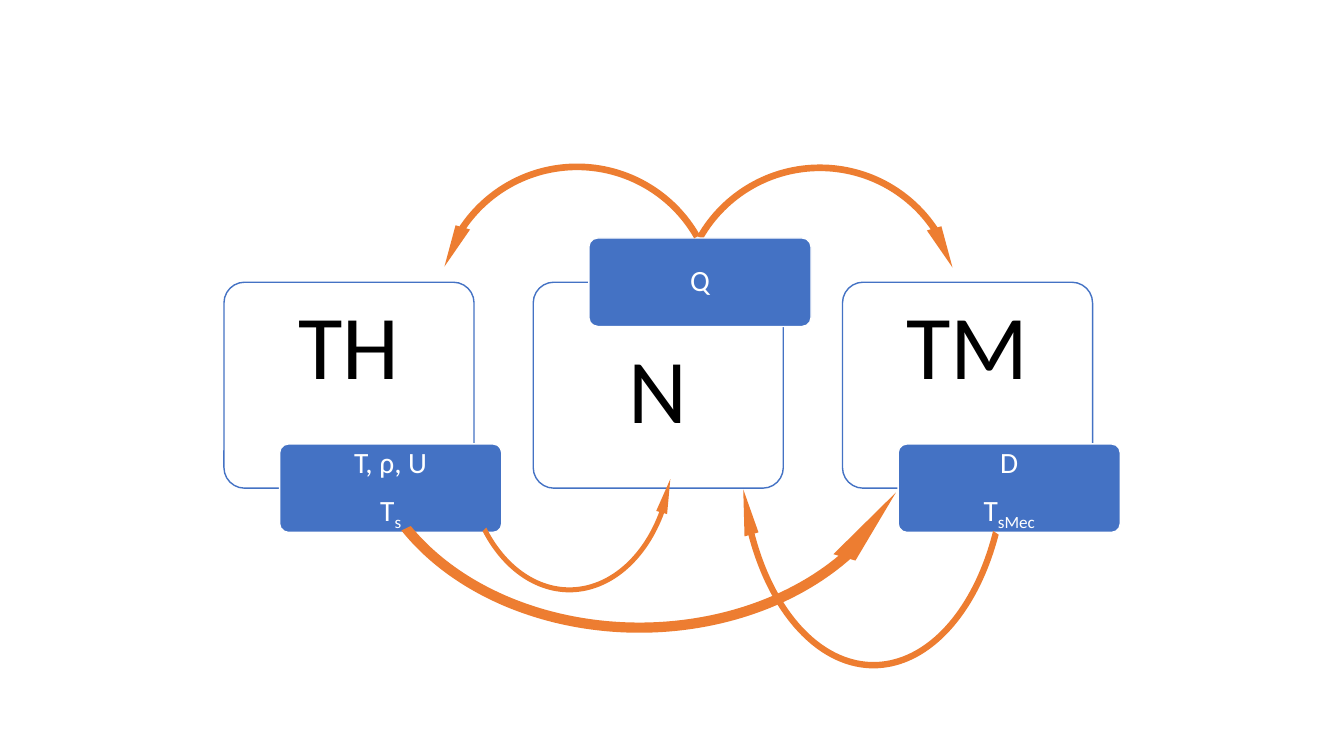
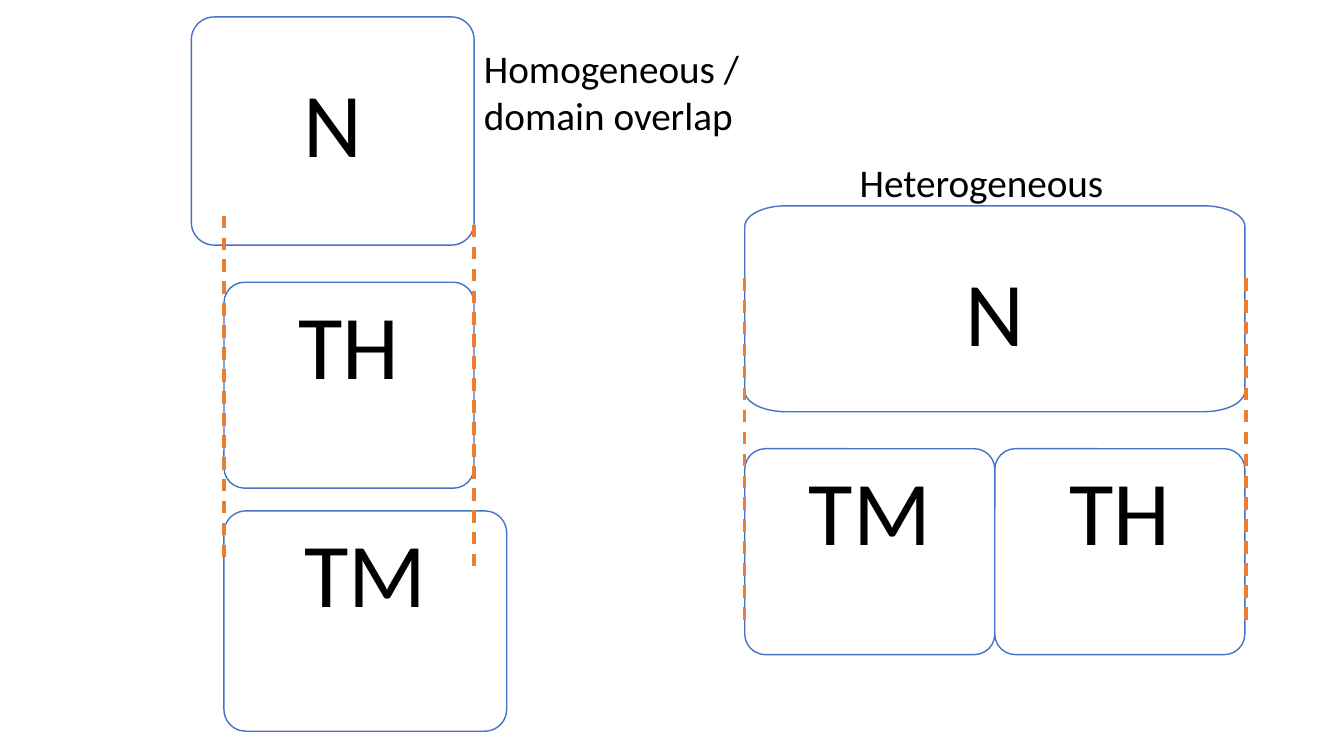
from math import cos, pi, sin

from lxml.etree import SubElement
from pptx import Presentation
from pptx.dml.color import RGBColor
from pptx.enum.dml import MSO_LINE
from pptx.enum.shapes import MSO_CONNECTOR, MSO_SHAPE
from pptx.enum.text import MSO_ANCHOR, PP_ALIGN
from pptx.oxml.ns import qn
from pptx.util import Pt

BLUE = RGBColor(0x44, 0x72, 0xC4)
ORANGE = RGBColor(0xED, 0x7D, 0x31)
WHITE = RGBColor(0xFF, 0xFF, 0xFF)
BLACK = RGBColor(0, 0, 0)
FONT = "Calibri"

CORNER = 0.1                      # corner radius as a share of the height
BOX_W, BOX_H = 178.6, 147.1
CHIP_W, CHIP_H = 158.7, 63.2
BOX_LEFT, BOX_TOP, BOX_STEP = 160, 201.6, 220.9
CHIP_SHIFT = 39.7
NEAR_PAD, FAR_PAD = 13, 44.6      # box padding away from and next to the chip

# Coupled codes: name, chip edge, chip lines as (text, subscript)
CODES = [
    ("TH", "bottom", [("T, ρ, U", ""), ("T", "s")]),
    ("N", "top", [("Q", "")]),
    ("TM", "bottom", [("D", ""), ("T", "sMec")]),
]

# Exchanges: left, top, width, height, orientation attributes, start angle
Q_TO_TM = (481.7, 114.5, 208, 208, {}, 125.755)
OTHER_EXCHANGES = [
    (329, 217.4, 155.5, 208, {"flipV": "1"}, 133.868),
    (252.7, 141.1, 408.2, 315.4, {"flipV": "1"}, 123.132),
    (524.2, 164.9, 199.4, 315.4, {"rot": "10800000"}, 128.125),
    (308.2, 113.8, 208, 208, {"flipH": "1"}, 125.755),
]

# Domains: name, left, top, width, height
PAIR_LEFT, PAIR_TOP = 532, 320.5
DOMAINS = [
    ("TH", BOX_LEFT, BOX_TOP, BOX_W, BOX_H),
    ("N", 136.7, 12.1, 202, 163),
    ("TM", BOX_LEFT, 364.9, 202, 157.4),
    ("TM", PAIR_LEFT, PAIR_TOP, BOX_W, BOX_H),
    ("TH", PAIR_LEFT + BOX_W, PAIR_TOP, BOX_W, BOX_H),
]
WIDE_DOMAIN = ("N", PAIR_LEFT, 147, 2 * BOX_W, BOX_H)

# Domain limits: x, top, bottom
LIMITS = [
    (BOX_LEFT, 154, 404.5),
    (BOX_LEFT + BOX_W, 160.5, 404.5),
    (PAIR_LEFT, 198.6, 443),
    (890, 198.6, 443),
]

CAPTIONS = [
    ("Homogeneous / domain overlap", 338.6, 28, 203, 75),
    ("Heterogeneous", 607, 109.4, 224, 41),
]


def add_run(paragraph, text, size, color, subscript=False):
    run = paragraph.add_run()
    run.text = text
    run.font.name, run.font.size = FONT, Pt(size)
    run.font.color.rgb = color
    if subscript:
        run._r.get_or_add_rPr().set("baseline", "-25000")


def paint(shape, fill, line=None):
    shape.shadow.inherit = False
    shape.fill.solid()
    shape.fill.fore_color.rgb = fill
    if line is None:
        shape.line.fill.background()
    else:
        shape.line.color.rgb = line
        shape.line.width = Pt(1)


def set_padding(frame, left, top, right, bottom):
    frame.word_wrap = True
    frame.margin_left, frame.margin_top = Pt(left), Pt(top)
    frame.margin_right, frame.margin_bottom = Pt(right), Pt(bottom)


def rounded(slide, left, top, width, height):
    shape = slide.shapes.add_shape(MSO_SHAPE.ROUNDED_RECTANGLE, Pt(left),
                                   Pt(top), Pt(width), Pt(height))
    shape.adjustments[0] = CORNER
    return shape


def stretched(slide, left, top, width, height, steps=12):
    """Rectangle with elliptic corners, twice as wide as they are high."""
    ry = CORNER * height
    rx = 2 * ry
    points = []
    corners = [(left + rx, top + ry), (left + width - rx, top + ry),
               (left + width - rx, top + height - ry),
               (left + rx, top + height - ry)]
    for quarter, (cx, cy) in enumerate(corners):
        for step in range(steps + 1):
            angle = pi + (quarter + step / steps) * pi / 2
            points.append((Pt(cx + rx * cos(angle)), Pt(cy + ry * sin(angle))))
    outline = slide.shapes.build_freeform(*points[0])
    outline.add_line_segments(points[1:], close=True)
    return outline.convert_to_shape()


def label_box(box, name, text_inset=0):
    """Style a code box; text_inset is what the preset itself already pads."""
    paint(box, WHITE, BLUE)
    color = box._element.spPr.find(qn("a:solidFill"))[0]
    SubElement(color, qn("a:alpha")).set("val", "90000")
    top, bottom = (FAR_PAD, NEAR_PAD) if name == "N" else (NEAR_PAD, FAR_PAD)
    side = NEAR_PAD - text_inset
    frame = box.text_frame
    set_padding(frame, side, top - text_inset, side, bottom - text_inset)
    frame.vertical_anchor = MSO_ANCHOR.TOP
    paragraph = frame.paragraphs[0]
    paragraph.alignment = PP_ALIGN.CENTER
    paragraph.line_spacing = 0.9
    add_run(paragraph, name, 65, BLACK)


def add_box(slide, name, left, top, width, height):
    text_inset = CORNER * height * (1 - cos(pi / 4))
    label_box(rounded(slide, left, top, width, height), name, text_inset)


def add_chip(slide, left, top, lines):
    chip = rounded(slide, left, top, CHIP_W, CHIP_H)
    paint(chip, BLUE, WHITE)
    frame = chip.text_frame
    set_padding(frame, 3.3, 1.7, 3.3, 1.7)
    frame.vertical_anchor = MSO_ANCHOR.MIDDLE
    for index, (text, subscript) in enumerate(lines):
        paragraph = frame.add_paragraph() if index else frame.paragraphs[0]
        paragraph.alignment = PP_ALIGN.CENTER
        paragraph.line_spacing = 0.9
        paragraph.space_after = Pt(9)
        add_run(paragraph, text, 21, WHITE)
        if subscript:
            add_run(paragraph, subscript, 21, WHITE, subscript=True)


def add_exchange(slide, left, top, width, height, orientation, start):
    arrow = slide.shapes.add_shape(MSO_SHAPE.CIRCULAR_ARROW, Pt(left), Pt(top),
                                   Pt(width), Pt(height))
    for index, value in enumerate((0.023, 10.821, 195.507, start, 0.026)):
        arrow.adjustments[index] = value
    xfrm = arrow._element.spPr.find(qn("a:xfrm"))
    for key, value in orientation.items():
        xfrm.set(key, value)
    paint(arrow, ORANGE)


def add_limit(slide, x, top, bottom):
    limit = slide.shapes.add_connector(MSO_CONNECTOR.STRAIGHT, Pt(x), Pt(top),
                                       Pt(x), Pt(bottom))
    limit.line.color.rgb = ORANGE
    limit.line.width = Pt(2.25)
    limit.line.dash_style = MSO_LINE.DASH
    SubElement(limit._element.spPr, qn("a:effectLst"))


def add_caption(slide, text, left, top, width, height):
    caption = slide.shapes.add_textbox(Pt(left), Pt(top), Pt(width), Pt(height))
    caption.text_frame.word_wrap = True
    add_run(caption.text_frame.paragraphs[0], text, 28, BLACK)


def build_coupling(slide):
    add_exchange(slide, *Q_TO_TM)
    for index, (name, edge, lines) in enumerate(CODES):
        left = BOX_LEFT + index * BOX_STEP
        add_box(slide, name, left, BOX_TOP, BOX_W, BOX_H)
        edge_y = BOX_TOP if edge == "top" else BOX_TOP + BOX_H
        add_chip(slide, left + CHIP_SHIFT, edge_y - CHIP_H / 2, lines)
    for exchange in OTHER_EXCHANGES:
        add_exchange(slide, *exchange)


def build_domains(slide):
    for domain in DOMAINS:
        add_box(slide, *domain)
    name, *frame = WIDE_DOMAIN
    label_box(stretched(slide, *frame), name)
    for limit in LIMITS:
        add_limit(slide, *limit)
    for caption in CAPTIONS:
        add_caption(slide, *caption)


def main():
    deck = Presentation()
    deck.slide_width, deck.slide_height = Pt(960), Pt(540)
    for build in (build_coupling, build_domains):
        build(deck.slides.add_slide(deck.slide_layouts[6]))
    deck.save("out.pptx")


if __name__ == "__main__":
    main()
